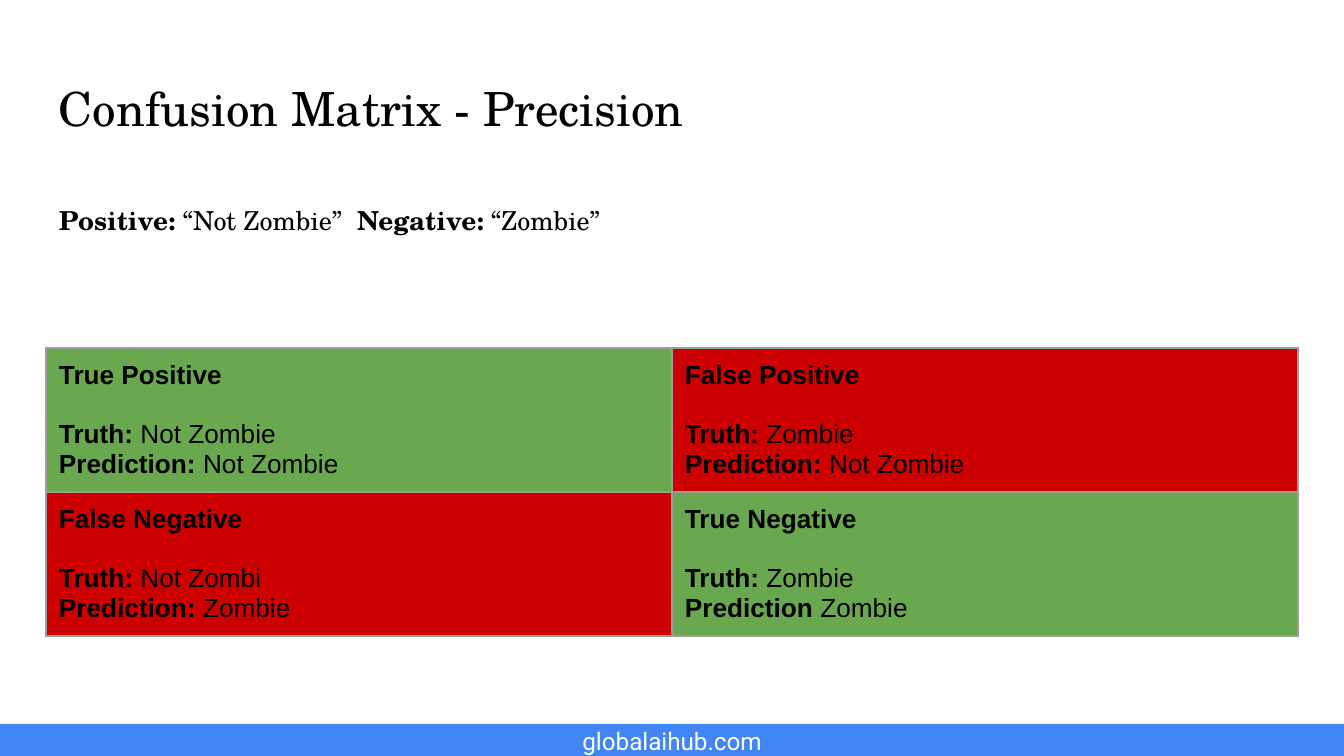
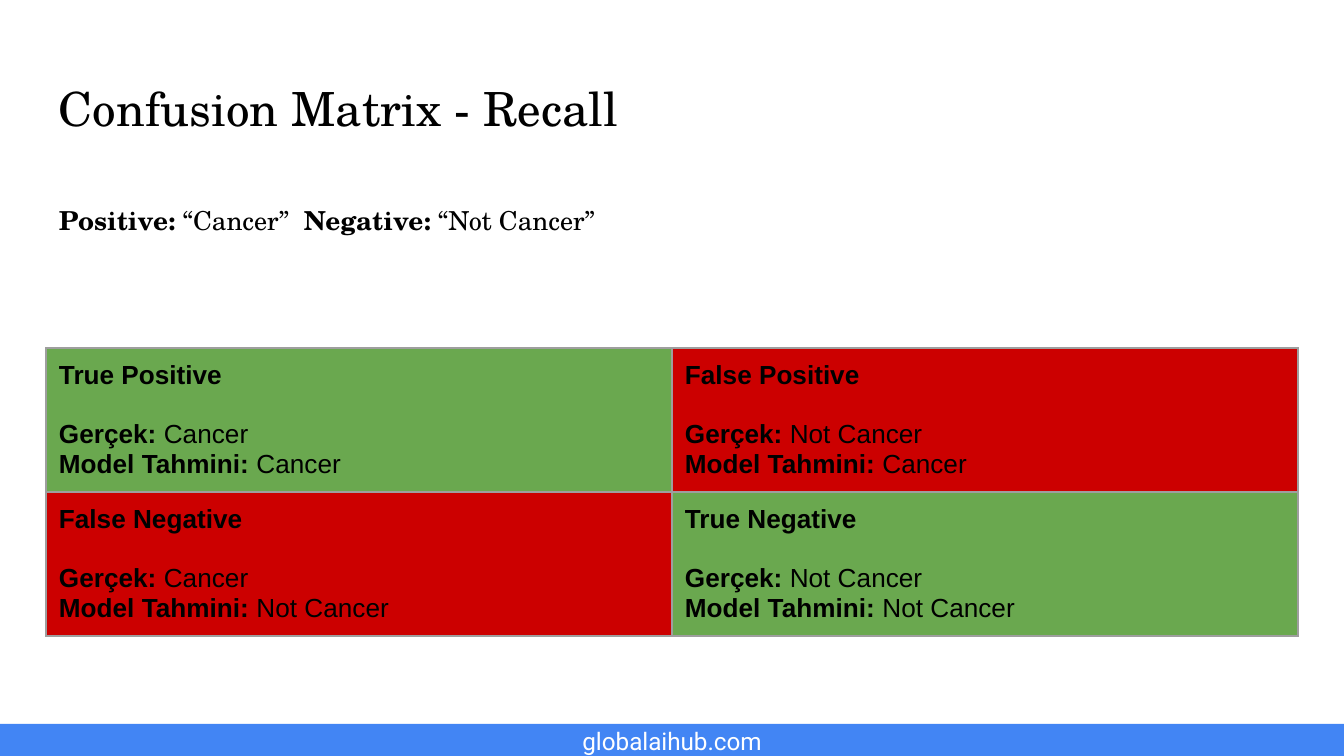
from lxml.etree import SubElement
from pptx import Presentation
from pptx.dml.color import RGBColor
from pptx.enum.shapes import MSO_SHAPE as Shape
from pptx.enum.text import MSO_ANCHOR as Anchor, MSO_AUTO_SIZE as AutoSize, PP_ALIGN as Align
from pptx.oxml.ns import qn
from pptx.util import Pt

PX = 914400 / 134.4
BLACK, WHITE, BLUE = "000000", "FFFFFF", "4285F4"
GREEN, RED, GREY = "6AA84F", "CC0000", "9E9E9E"
SERIF, SANS, FOOTER_FONT = "TeX Gyre Schola", "Arial", "Roboto"
LEFT, WIDTH, INSET = 46, 1252, 13
ROW_HEIGHT = 144
OUTCOMES = ["True Positive", "False Positive", "False Negative", "True Negative"]


def px(n):
    """Turn pixels into EMU."""
    return round(n * PX)


def box(x, y, w, h):
    """Turn a pixel box into EMU values."""
    return [px(n) for n in (x, y, w, h)]


def color(value):
    """Turn a hex string into a colour."""
    return RGBColor.from_string(value)


def set_margins(target):
    """Give a text frame or a cell the shared inset."""
    for side in ("left", "right", "top", "bottom"):
        setattr(target, f"margin_{side}", px(INSET))


def set_frame(tf, anchor=Anchor.TOP):
    """Prepare a wrapping text frame of fixed size."""
    tf.word_wrap = True
    tf.auto_size = AutoSize.NONE
    tf.vertical_anchor = anchor
    set_margins(tf)


def add_run(p, text, size, font, hex_color=BLACK, bold=False):
    """Add one formatted run."""
    r = p.add_run()
    r.text = text
    r.font.size, r.font.name, r.font.bold = Pt(size), font, bold
    r.font.color.rgb = color(hex_color)


def add_pair(p, label, value, font):
    """Add a bold label followed by a plain value."""
    add_run(p, label, 14, font, bold=True)
    add_run(p, f" {value}", 14, font)


def add_tab_stop(p, x):
    """Set a left tab stop in a paragraph."""
    tabs = SubElement(p._p.get_or_add_pPr(), qn("a:tabLst"))
    SubElement(tabs, qn("a:tab"), pos=str(px(x)), algn="l")


def add_footer(s):
    """Add the blue band with the web address."""
    sp = s.shapes.add_shape(Shape.RECTANGLE, *box(0, 724, 1344, 32))
    sp.shadow.inherit = False
    sp.fill.solid()
    sp.fill.fore_color.rgb = color(BLUE)
    sp.line.fill.background()
    tf = s.shapes.add_textbox(*box(388, 711, 568, 59)).text_frame
    set_frame(tf, Anchor.MIDDLE)
    p = tf.paragraphs[0]
    p.alignment = Align.CENTER
    add_run(p, "globalaihub.com", 13, FOOTER_FONT, WHITE)


def set_title(s, text):
    """Place and fill the title placeholder."""
    sp = s.shapes.title
    sp.left, sp.top, sp.width, sp.height = box(LEFT, 66, WIDTH, 85)
    set_frame(sp.text_frame)
    p = sp.text_frame.paragraphs[0]
    p.alignment = Align.LEFT
    add_run(p, text, 25.2, SERIF)


def add_classes(s, positive, negative, tab):
    """Add the line that names both classes."""
    tf = s.shapes.add_textbox(*box(LEFT, 187, WIDTH, 149)).text_frame
    set_frame(tf)
    p = tf.paragraphs[0]
    p.line_spacing, p.space_after = 1.15, Pt(12)
    add_tab_stop(p, tab)
    add_pair(p, "Positive:", f"“{positive}”", SERIF)
    add_pair(p, "\tNegative:", f"“{negative}”", SERIF)


def set_borders(cell):
    """Draw thin grey borders on all sides of a cell."""
    props = cell._tc.get_or_add_tcPr()
    for i, side in enumerate(("lnL", "lnR", "lnT", "lnB")):
        ln = props.makeelement(qn(f"a:{side}"), {"w": str(Pt(0.75))})
        SubElement(SubElement(ln, qn("a:solidFill")), qn("a:srgbClr"), val=GREY)
        props.insert(i, ln)


def fill_cell(cell, outcome, pairs):
    """Write one outcome with its labelled values."""
    set_margins(cell)
    cell.fill.solid()
    cell.fill.fore_color.rgb = color(GREEN if outcome.startswith("True") else RED)
    set_borders(cell)
    p = cell.text_frame.paragraphs[0]
    p.space_after = Pt(16)
    add_run(p, outcome, 14, SANS, bold=True)
    for label, value in pairs:
        add_pair(cell.text_frame.add_paragraph(), label, value, SANS)


def add_matrix(s, cells):
    """Add the two by two confusion matrix."""
    frame = s.shapes.add_table(2, 2, *box(LEFT, 348, WIDTH, 2 * ROW_HEIGHT))
    table = frame.table
    table.first_row = table.horz_banding = False
    for i, (outcome, pairs) in enumerate(zip(OUTCOMES, cells)):
        fill_cell(table.cell(*divmod(i, 2)), outcome, pairs)


def add_slide(prs, title, classes, tab, cells):
    """Add one confusion matrix slide."""
    s = prs.slides.add_slide(prs.slide_layouts[5])
    add_footer(s)
    set_title(s, title)
    add_classes(s, *classes, tab)
    add_matrix(s, cells)


def main():
    """Build and save the presentation."""
    prs = Presentation()
    prs.slide_width, prs.slide_height = px(1344), px(756)
    add_slide(prs, "Confusion Matrix - Precision", ("Not Zombie", "Zombie"), 298, [
        [("Truth:", "Not Zombie"), ("Prediction:", "Not Zombie")],
        [("Truth:", "Zombie"), ("Prediction:", "Not Zombie")],
        [("Truth:", "Not Zombi"), ("Prediction:", "Zombie")],
        [("Truth:", "Zombie"), ("Prediction", "Zombie")],
    ])
    truth, guess = "Gerçek:", "Model Tahmini:"
    add_slide(prs, "Confusion Matrix - Recall", ("Cancer", "Not Cancer"), 245, [
        [(truth, "Cancer"), (guess, "Cancer")],
        [(truth, "Not Cancer"), (guess, "Cancer")],
        [(truth, "Cancer"), (guess, "Not Cancer")],
        [(truth, "Not Cancer"), (guess, "Not Cancer")],
    ])
    prs.save("out.pptx")


if __name__ == "__main__":
    main()
